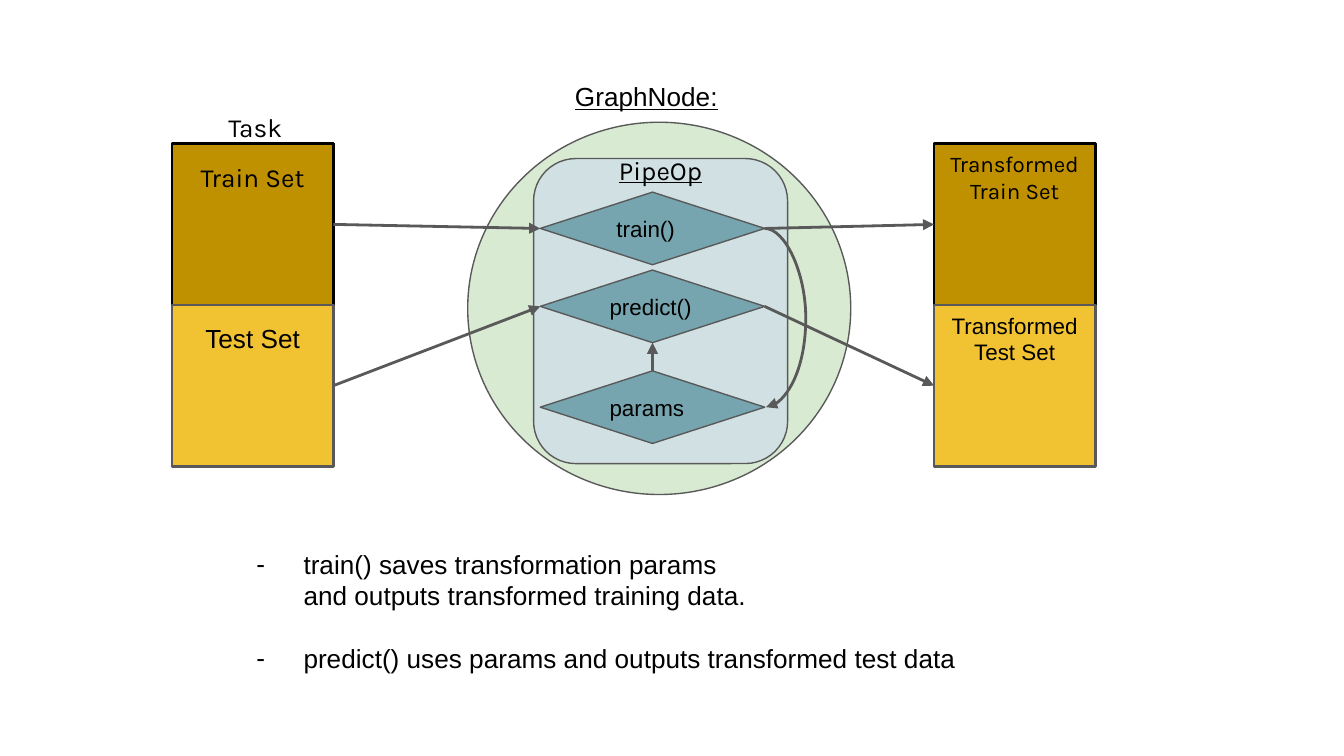
from lxml.etree import SubElement
from pptx import Presentation
from pptx.dml.color import RGBColor
from pptx.enum.shapes import MSO_CONNECTOR as Connector, MSO_SHAPE as Shape
from pptx.enum.text import MSO_ANCHOR as Anchor, PP_ALIGN as Align
from pptx.oxml.ns import qn
from pptx.util import Inches, Pt

GRAY, BLACK = "595959", "000000"
TEAL, GOLD, YELLOW = "76A5AF", "BF9000", "F1C232"
SET_SIZE = 1.2
RIGHT, LEFT, TOP, BOTTOM = 3, 1, 0, 2

BACKDROPS = [
    (Shape.OVAL, (3.48, 0.91, 2.85, 2.77), "D9EAD3"),
    (Shape.ROUNDED_RECTANGLE, (3.97, 1.18, 1.89, 2.27), "D0E0E3"),
]
STEPS = [("train()", 1.43, 0.15), ("predict()", 2.01, 0.1), ("params", 2.76, 0.1)]
SETS = [
    ("Train Set", 1.28, 1.07, GOLD, BLACK, "Karla", 14, 0.13),
    ("Test Set", 1.28, 2.27, YELLOW, GRAY, "Arial", 14, 0.13),
    ("Transformed\nTrain Set", 6.95, 1.07, GOLD, BLACK, "Karla", 12, 0.05),
    ("Transformed\nTest Set", 6.95, 2.27, YELLOW, GRAY, "Arial", 12, 0.05),
]
LABELS = [
    ("GraphNode:", (4.18, 0.5, 1.33, 0.59), "Arial", True, Align.LEFT),
    ("PipeOp", (3.97, 1.05, 1.89, 0.43), "Karla", True, Align.CENTER),
    ("Task", (1.52, 0.73, 0.76, 0.54), "Karla", False, Align.CENTER),
]
ARROWS = [
    ("Train Set", RIGHT, "train()", LEFT),
    ("Test Set", RIGHT, "predict()", LEFT),
    ("train()", RIGHT, "Transformed\nTrain Set", LEFT),
    ("predict()", RIGHT, "Transformed\nTest Set", LEFT),
    ("params", TOP, "predict()", BOTTOM),
]
NOTES = [
    ("train() saves transformation params", True, 0),
    ("and outputs transformed training data.", False, 0),
    ("predict() uses params and outputs transformed test data", True, 17),
]


def color(value):
    return RGBColor.from_string(value)


def write(shape, text, font="Arial", size=14, align=Align.LEFT, underline=False,
          anchor=Anchor.TOP, left=0.1, top=0.1, right=0.1):
    frame = shape.text_frame
    frame.text = text
    frame.word_wrap = True
    frame.vertical_anchor = anchor
    frame.margin_left, frame.margin_top = Inches(left), Inches(top)
    frame.margin_right, frame.margin_bottom = Inches(right), Inches(0.1)
    for paragraph in frame.paragraphs:
        paragraph.alignment = align
        for run in paragraph.runs:
            run.font.name, run.font.size = font, Pt(size)
            run.font.color.rgb = color(BLACK)
            run.font.underline = underline or None


def add_box(slide, kind, box, fill, line=GRAY, width=0.75):
    shape = slide.shapes.add_shape(kind, *map(Inches, box))
    shape.shadow.inherit = False
    shape.fill.solid()
    shape.fill.fore_color.rgb = color(fill)
    shape.line.color.rgb = color(line)
    shape.line.width = Pt(width)
    return shape


def add_arrow(slide, kind, start, start_site, end, end_site):
    arrow = slide.shapes.add_connector(kind, 0, 0, 0, 0)
    arrow.begin_connect(start, start_site)
    arrow.end_connect(end, end_site)
    arrow.line.color.rgb = color(GRAY)
    arrow.line.width = Pt(1.5)
    SubElement(arrow.line._get_or_add_ln(), qn("a:tailEnd"), type="triangle")
    SubElement(arrow._element.spPr, qn("a:effectLst"))
    return arrow


def bend(arrow, depth, span=0.01):
    """Give a curve between two points at the same x a bulge of the given depth."""
    arrow.end_x = arrow.begin_x + Inches(span)
    guides = arrow._element.spPr.find(qn("a:prstGeom")).get_or_add_avLst()
    SubElement(guides, qn("a:gd"), name="adj1", fmla=f"val {round(depth / span * 100000)}")


def add_notes(slide):
    box = slide.shapes.add_textbox(*map(Inches, (1.66, 3.98, 6.49, 1.15)))
    write(box, "\n".join(text for text, _, _ in NOTES))
    for paragraph, (_, bulleted, gap) in zip(box.text_frame.paragraphs, NOTES):
        paragraph.space_before = Pt(gap)
        properties = paragraph._p.get_or_add_pPr()
        properties.set("marL", str(Inches(0.5)))
        properties.set("indent", str(Inches(-0.35 if bulleted else 0)))
        if bulleted:
            SubElement(properties, qn("a:buFont"), typeface="Arial")
            SubElement(properties, qn("a:buChar"), char="-")


def main():
    presentation = Presentation()
    presentation.slide_width = Inches(10)
    presentation.slide_height = presentation.slide_width * 9 // 16
    slide = presentation.slides.add_slide(presentation.slide_layouts[6])
    nodes = {}
    for kind, box, fill in BACKDROPS:
        add_box(slide, kind, box, fill)
    for text, top, inset in STEPS:
        nodes[text] = add_box(slide, Shape.FLOWCHART_DECISION, (4.02, top, 1.67, 0.54), TEAL)
        write(nodes[text], text, size=12, anchor=Anchor.MIDDLE, left=inset, right=0)
    for text, left, top, fill, line, font, size, inset in SETS:
        box = (left, top, SET_SIZE, SET_SIZE)
        nodes[text] = add_box(slide, Shape.RECTANGLE, box, fill, line, 1.5)
        write(nodes[text], text, font, size, Align.CENTER, top=inset)
    for text, box, font, underline, align in LABELS:
        label = slide.shapes.add_textbox(*map(Inches, box))
        write(label, text, font, align=align, underline=underline)
    for start, start_site, end, end_site in ARROWS:
        add_arrow(slide, Connector.STRAIGHT, nodes[start], start_site, nodes[end], end_site)
    curve = add_arrow(slide, Connector.CURVE, nodes["train()"], RIGHT, nodes["params"], RIGHT)
    bend(curve, 0.31)
    add_notes(slide)
    presentation.save("out.pptx")


if __name__ == "__main__":
    main()
